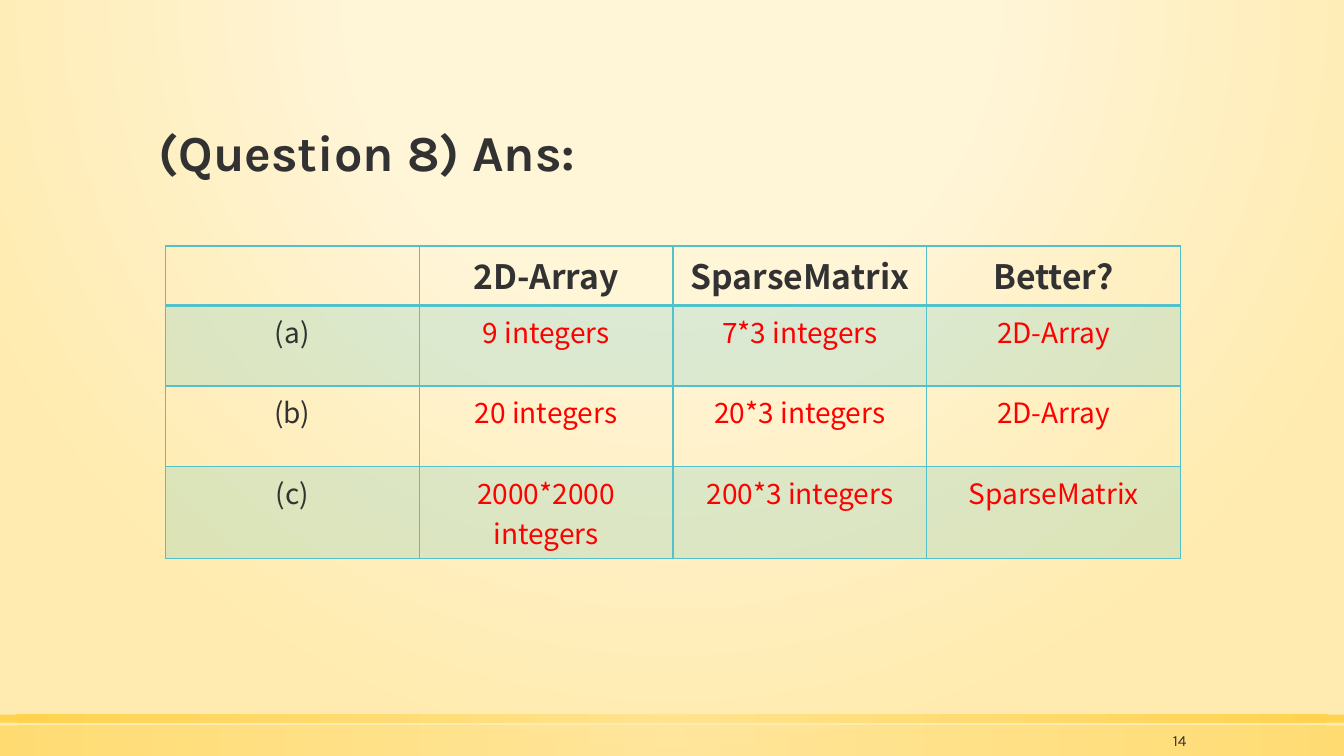
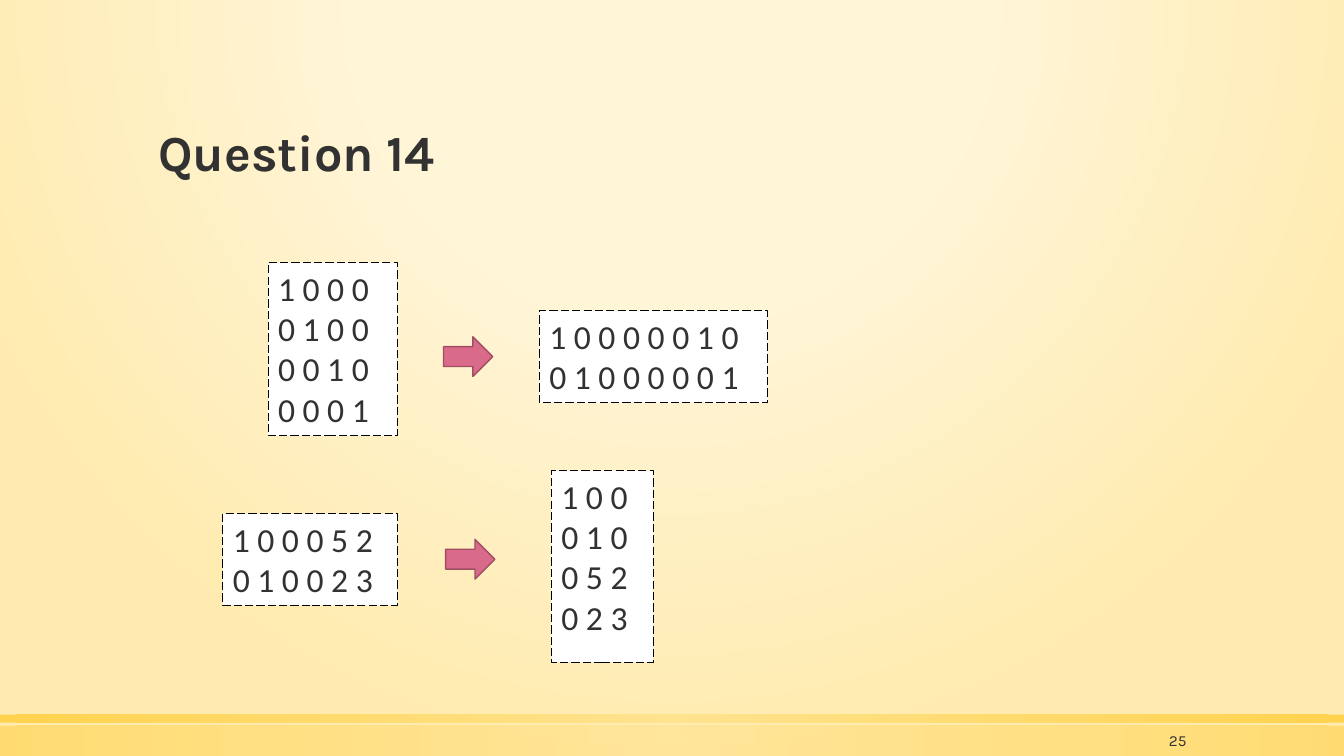
from dataclasses import dataclass
from typing import NamedTuple

from lxml.etree import SubElement
from pptx import Presentation
from pptx.dml.color import RGBColor as RGB
from pptx.enum.dml import MSO_LINE_DASH_STYLE as Dash
from pptx.enum.shapes import MSO_SHAPE as Shape
from pptx.enum.text import MSO_ANCHOR as Anchor, MSO_AUTO_SIZE as Fit, PP_ALIGN as Align
from pptx.oxml import parse_xml
from pptx.oxml.ns import nsdecls, qn
from pptx.util import Inches, Pt


class Area(NamedTuple):
    """Left, top, width and height in percent of the slide."""
    x: float
    y: float
    w: float
    h: float


class Stop(NamedTuple):
    """Gradient stop with position and opacity in percent."""
    pos: int
    color: str
    alpha: int = 100


class Font(NamedTuple):
    """Type face, size, colour and weight."""
    face: str
    size: int
    color: str
    bold: bool = False


class Gradient(NamedTuple):
    """Circular gradient around a focus given by its top and bottom insets."""
    stops: tuple[Stop, ...]
    top: int = 50
    bottom: int = 50


@dataclass(frozen=True)
class Theme:
    """Colours and type styles of the deck."""
    ink: str = "323232"
    answer: str = "FF0000"
    teal: str = "52C1CA"
    paper: str = "FFFFFF"
    frame: str = "000000"
    arrow: str = "DA6A89"
    arrow_edge: str = "A14E65"
    band_inner: str = "FFE186"
    band_outer: str = "FFCD36"
    title: Font = Font("Karla", 36, ink, True)
    number: Font = Font("Karla", 11, ink)
    matrix: Font = Font("Calibri", 24, ink)
    head: Font = Font("Noto Sans CJK TC", 24, ink, True)
    label: Font = Font("Noto Sans CJK TC", 20, ink)
    value: Font = Font("Noto Sans CJK TC", 20, answer)
    backdrop: Gradient = Gradient(
        (Stop(0, "FFF5D7", 59), Stop(40, "FFF5D7", 66), Stop(100, "FFEBAF")), -80, 180)


@dataclass(frozen=True)
class Band:
    """Footer band across the slide."""
    area: Area
    alpha: int


@dataclass(frozen=True)
class Matrix:
    """Framed matrix, one string per row."""
    area: Area
    rows: tuple[str, ...]


T = Theme()
WIDTH, HEIGHT = Inches(13.33), Inches(7.5)
TITLE = Area(11.03, 6.8, 78, 18)
NUMBER = Area(83.78, 96.2, 5.25, 3.47)
BANDS = (Band(Area(0, 96, 100, 4), 50), Band(Area(0, 94.53, 100, 1.07), 80))
ROW_SHARES = (7.87, 10.67, 10.67, 12.1)
TABLE = Area(12.3, 32.53, 75.54, sum(ROW_SHARES))
ANSWERS = (
    ("", "2D-Array", "SparseMatrix", "Better?"),
    ("(a)", "9 integers", "7*3 integers", "2D-Array"),
    ("(b)", "20 integers", "20*3 integers", "2D-Array"),
    ("(c)", "2000*2000 integers", "200*3 integers", "SparseMatrix"),
)
MATRICES = (
    Matrix(Area(19.95, 34.75, 9.6, 22.93), ("1 0 0 0", "0 1 0 0", "0 0 1 0", "0 0 0 1")),
    Matrix(Area(40.13, 41.13, 16.95, 12.13), ("1 0 0 0 0 0 1 0", "0 1 0 0 0 0 0 1")),
    Matrix(Area(16.58, 67.95, 12.98, 12.13), ("1 0 0 0 5 2", "0 1 0 0 2 3")),
    Matrix(Area(41.03, 62.27, 7.58, 25.33), ("1 0 0", "0 1 0", "0 5 2", "0 2 3")),
)
ARROWS = (Area(33, 44.55, 3.66, 5.25), Area(33.16, 71.35, 3.66, 5.25))


def across(share: float) -> int:
    """Turn a percentage of the slide width into a length."""
    return round(WIDTH * share / 100)


def down(share: float) -> int:
    """Turn a percentage of the slide height into a length."""
    return round(HEIGHT * share / 100)


def place(area: Area) -> tuple[int, int, int, int]:
    """Turn an area into left, top, width and height."""
    return across(area.x), down(area.y), across(area.w), down(area.h)


def add_run(p, text: str, font: Font) -> None:
    """Add one formatted run to a paragraph."""
    r = p.add_run()
    r.text = text
    r.font.name, r.font.size, r.font.bold = font.face, Pt(font.size), font.bold
    r.font.color.rgb = RGB.from_string(font.color)


def paint_gradient(fill, root, gradient: Gradient) -> None:
    """Give the first fill below root a circular gradient."""
    fill.solid()
    old = next(root.iter(qn("a:solidFill")))
    stops = "".join(
        f'<a:gs pos="{g.pos * 1000}"><a:srgbClr val="{g.color}">'
        f'<a:alpha val="{g.alpha * 1000}"/></a:srgbClr></a:gs>' for g in gradient.stops)
    new = parse_xml(
        f'<a:gradFill {nsdecls("a")} rotWithShape="1"><a:gsLst>{stops}</a:gsLst>'
        f'<a:path path="circle"><a:fillToRect l="50000" t="{gradient.top * 1000}" '
        f'r="50000" b="{gradient.bottom * 1000}"/></a:path></a:gradFill>')
    old.getparent().replace(old, new)


def add_shape(s, kind: Shape, area: Area, fill: str, line: str, width: float):
    """Add a flat preset shape with fill and outline."""
    sp = s.shapes.add_shape(kind, *place(area))
    sp.shadow.inherit = False
    sp.fill.solid()
    sp.fill.fore_color.rgb = RGB.from_string(fill)
    sp.line.color.rgb = RGB.from_string(line)
    sp.line.width = Pt(width)
    return sp


def style_master(prs, s) -> None:
    """Put backdrop and footer bands on the slide master."""
    master = prs.slide_master
    paint_gradient(master.background.fill, master.element, T.backdrop)
    for i, band in enumerate(BANDS):
        sp = s.shapes.add_shape(Shape.RECTANGLE, *place(band.area))
        sp.shadow.inherit = False
        sp.line.fill.background()
        stops = (Stop(0, T.band_inner, band.alpha), Stop(100, T.band_outer, band.alpha))
        paint_gradient(sp.fill, sp.element.spPr, Gradient(stops))
        master.shapes.element.insert(2 + i, sp.element)


def add_slide(prs, title: str, number: str):
    """Add a slide with title and page number."""
    s = prs.slides.add_slide(prs.slide_layouts[5])
    sp = s.shapes.title
    sp.left, sp.top, sp.width, sp.height = place(TITLE)
    tf = sp.text_frame
    tf.vertical_anchor, tf.auto_size, tf.word_wrap = Anchor.BOTTOM, Fit.NONE, True
    p = tf.paragraphs[0]
    p.alignment, p.line_spacing = Align.LEFT, 0.9
    add_run(p, title, T.title)
    tf = s.shapes.add_textbox(*place(NUMBER)).text_frame
    tf.vertical_anchor, tf.word_wrap = Anchor.MIDDLE, True
    p = tf.paragraphs[0]
    p.alignment = Align.RIGHT
    add_run(p, number, T.number)
    return s


def style_cell(cell, shaded: bool, top: float, bottom: float) -> None:
    """Set the fill and the four borders of a cell."""
    tc_pr = cell._tc.get_or_add_tcPr()
    if shaded:
        cell.fill.solid()
        cell.fill.fore_color.rgb = RGB.from_string(T.teal)
        SubElement(next(tc_pr.iter(qn("a:srgbClr"))), qn("a:alpha"), val="20000")
    else:
        cell.fill.background()
    for i, (side, width) in enumerate((("L", 1), ("R", 1), ("T", top), ("B", bottom))):
        tc_pr.insert(i, parse_xml(
            f'<a:ln{side} {nsdecls("a")} w="{Pt(width)}"><a:solidFill>'
            f'<a:srgbClr val="{T.teal}"/></a:solidFill></a:ln{side}>'))


def add_answers(s) -> None:
    """Add the table that compares the two representations."""
    columns = len(ANSWERS[0])
    table = s.shapes.add_table(len(ANSWERS), columns, *place(TABLE)).table
    table.first_row = table.horz_banding = False
    for column in table.columns:
        column.width = across(TABLE.w / columns)
    for i, (texts, share) in enumerate(zip(ANSWERS, ROW_SHARES)):
        table.rows[i].height = down(share)
        for j, text in enumerate(texts):
            cell = table.cell(i, j)
            style_cell(cell, i % 2 == 1, 2 if i == 1 else 1, 2 if i == 0 else 1)
            p = cell.text_frame.paragraphs[0]
            p.alignment = Align.CENTER
            if text:
                add_run(p, text, T.head if i == 0 else T.value if j else T.label)


def add_matrix(s, matrix: Matrix) -> None:
    """Add a dashed box with one paragraph per matrix row."""
    sp = add_shape(s, Shape.RECTANGLE, matrix.area, T.paper, T.frame, 0.75)
    sp.line.dash_style = Dash.LONG_DASH
    tf = sp.text_frame
    tf.word_wrap, tf.vertical_anchor = True, Anchor.TOP
    for i, row in enumerate(matrix.rows):
        p = tf.add_paragraph() if i else tf.paragraphs[0]
        p.alignment = Align.LEFT
        add_run(p, row, T.matrix)


def main() -> None:
    """Build and save the deck."""
    prs = Presentation()
    prs.slide_width, prs.slide_height = WIDTH, HEIGHT
    s = add_slide(prs, "(Question 8) Ans:", "14")
    style_master(prs, s)
    add_answers(s)
    s = add_slide(prs, "Question 14", "25")
    for matrix in MATRICES:
        add_matrix(s, matrix)
    for area in ARROWS:
        add_shape(s, Shape.RIGHT_ARROW, area, T.arrow, T.arrow_edge, 1)
    prs.save("out.pptx")


if __name__ == "__main__":
    main()
